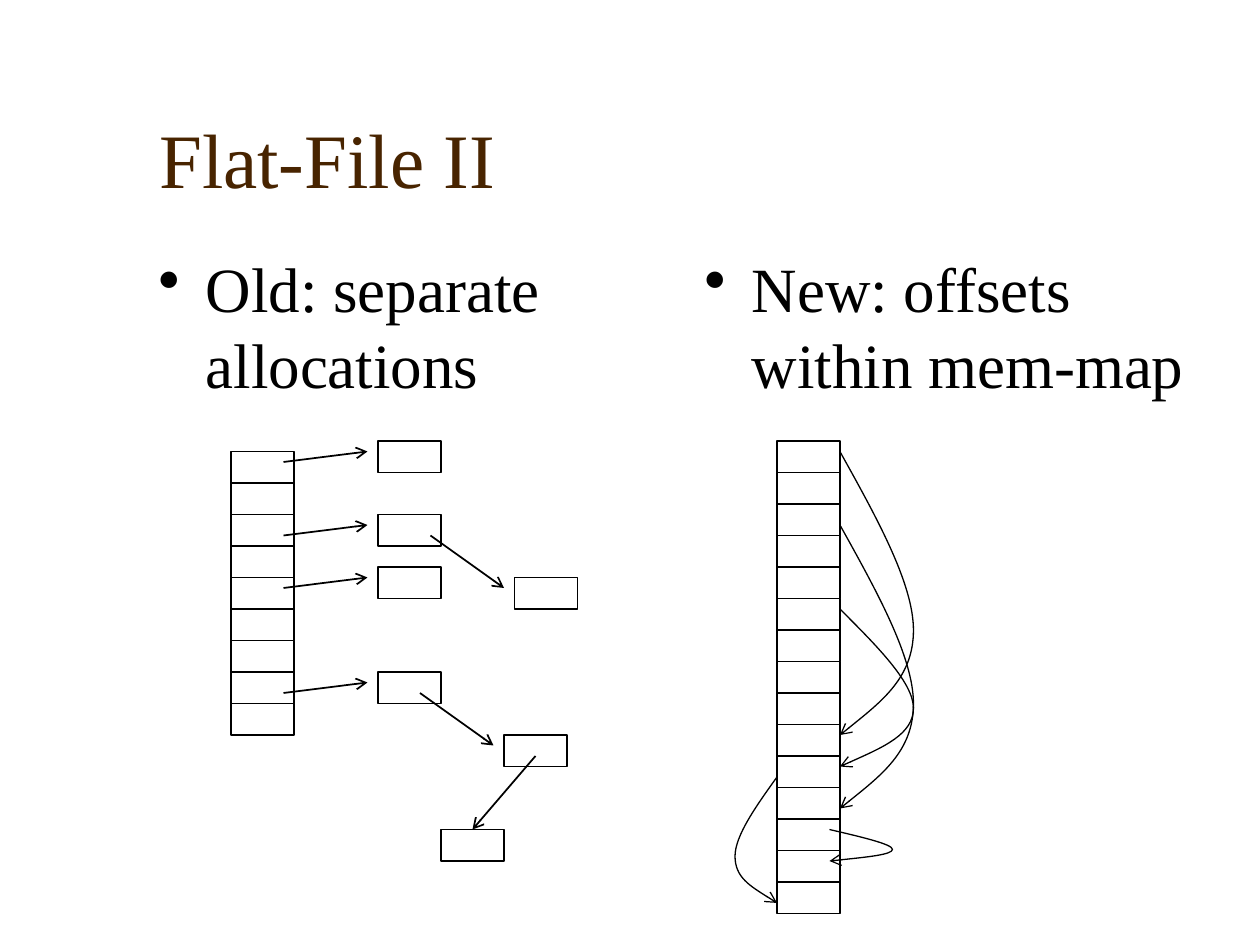
from dataclasses import dataclass

from lxml.etree import SubElement
from pptx import Presentation
from pptx.dml.color import RGBColor
from pptx.enum.shapes import MSO_CONNECTOR as Connector, MSO_SHAPE as Shape
from pptx.enum.text import MSO_ANCHOR as Anchor
from pptx.oxml.ns import qn
from pptx.util import Pt


@dataclass(frozen=True)
class Theme:
    font: str = "Times New Roman"
    title_size: int = 44
    body_size: int = 36
    title_color: RGBColor = RGBColor(0x48, 0x24, 0x00)
    ink: RGBColor = RGBColor(0, 0, 0)
    paper: RGBColor = RGBColor(255, 255, 255)
    outline: float = 0.75
    arrow: float = 1


CELL_W, CELL_H = 36, 18


class SlideBuilder:
    def __init__(self, slide, theme):
        self.slide, self.theme = slide, theme

    def text(self, words, left, top, width, height, size, color):
        frame = self.slide.shapes.add_textbox(
            Pt(left), Pt(top), Pt(width), Pt(height)).text_frame
        frame.word_wrap = True
        frame.text = words
        font = frame.paragraphs[0].runs[0].font
        font.name, font.size = self.theme.font, Pt(size)
        font.color.rgb = color
        return frame

    def title(self, words, left, top, width, height):
        frame = self.text(words, left, top, width, height,
                          self.theme.title_size, self.theme.title_color)
        frame.vertical_anchor = Anchor.BOTTOM

    def bullet(self, words, left, top, width, height):
        frame = self.text(words, left, top, width, height,
                          self.theme.body_size, self.theme.ink)
        props = frame.paragraphs[0]._p.get_or_add_pPr()
        props.set("marL", str(Pt(27)))
        props.set("indent", str(-Pt(27)))
        SubElement(props, qn("a:buChar"), char="•")

    def cell(self, left, top):
        box = self.slide.shapes.add_shape(
            Shape.RECTANGLE, Pt(left), Pt(top), Pt(CELL_W), Pt(CELL_H))
        box.shadow.inherit = False
        box.fill.solid()
        box.fill.fore_color.rgb = self.theme.paper
        self.stroke(box, self.theme.outline)

    def column(self, left, top, count):
        for row in range(count):
            self.cell(left, top + row * CELL_H)

    def stroke(self, shape, width, arrowhead=False):
        shape.line.color.rgb = self.theme.ink
        shape.line.width = Pt(width)
        if arrowhead:
            SubElement(shape._element.spPr.find(qn("a:ln")),
                       qn("a:tailEnd"), type="arrow")

    def arrow(self, x1, y1, x2, y2):
        link = self.slide.shapes.add_connector(
            Connector.STRAIGHT, Pt(x1), Pt(y1), Pt(x2), Pt(y2))
        self.stroke(link, self.theme.arrow, arrowhead=True)
        SubElement(link._element.spPr, qn("a:effectLst"))

    def curve(self, x, start, end, bulge):
        """Curved arrow from start to end, widest 63% of the way down."""
        apex = start + 0.63 * (end - start)
        upper, lower = apex - start, end - apex
        middle, edge = x + bulge / 2, x + bulge
        points = [
            (middle, start + 0.37 * upper), (edge, start + 0.74 * upper),
            (edge, apex),
            (edge, apex + 0.45 * lower), (middle, apex + 0.72 * lower),
            (x, end),
        ]
        builder = self.slide.shapes.build_freeform(Pt(x), Pt(start))
        builder.add_line_segments([(Pt(px), Pt(py)) for px, py in points],
                                  close=False)
        shape = builder.convert_to_shape()

        # Turn each three segments into one Bézier segment
        outline = next(shape._element.iter(qn("a:path")))
        segments = outline.findall(qn("a:lnTo"))
        for first in range(0, len(segments), 3):
            bezier = SubElement(outline, qn("a:cubicBezTo"))
            for segment in segments[first:first + 3]:
                bezier.append(segment[0])
                outline.remove(segment)

        shape.shadow.inherit = False
        shape.fill.background()
        self.stroke(shape, self.theme.outline, arrowhead=True)


def main():
    deck = Presentation()
    deck.slide_width, deck.slide_height = Pt(720), Pt(540)
    page = SlideBuilder(deck.slides.add_slide(deck.slide_layouts[6]), Theme())

    # Headings
    page.title("Flat-File II", 84, 30, 612, 90)
    page.bullet("Old: separate allocations", 83.5, 139, 299.5, 324)
    page.bullet("New: offsets within mem-map", 395.5, 139, 299.5, 324)

    # Old layout: a table whose slots point to separate chains
    page.column(132, 258, 9)
    for entry_top in (252, 294, 324, 384):
        page.cell(216, entry_top)
        page.arrow(162, entry_top + 12, 210, entry_top + 6)
    for chained in ((294, 330), (288, 420), (252, 474)):
        page.cell(*chained)
    for chain_link in ((246, 306, 288, 336), (240, 396, 282, 426),
                       (306, 432, 270, 474)):
        page.arrow(*chain_link)

    # New layout: one block whose cells refer to each other by offset
    block_left, block_top = 444, 252
    block_right = block_left + CELL_W
    page.column(block_left, block_top, 15)
    for start, end in ((258, 420), (300, 462), (348, 438)):
        page.curve(block_right, start, end, 42)
    page.curve(block_left, 444, 516, -24)
    page.curve(block_right - 6, 474, 492, 36)

    deck.save("out.pptx")


if __name__ == "__main__":
    main()
